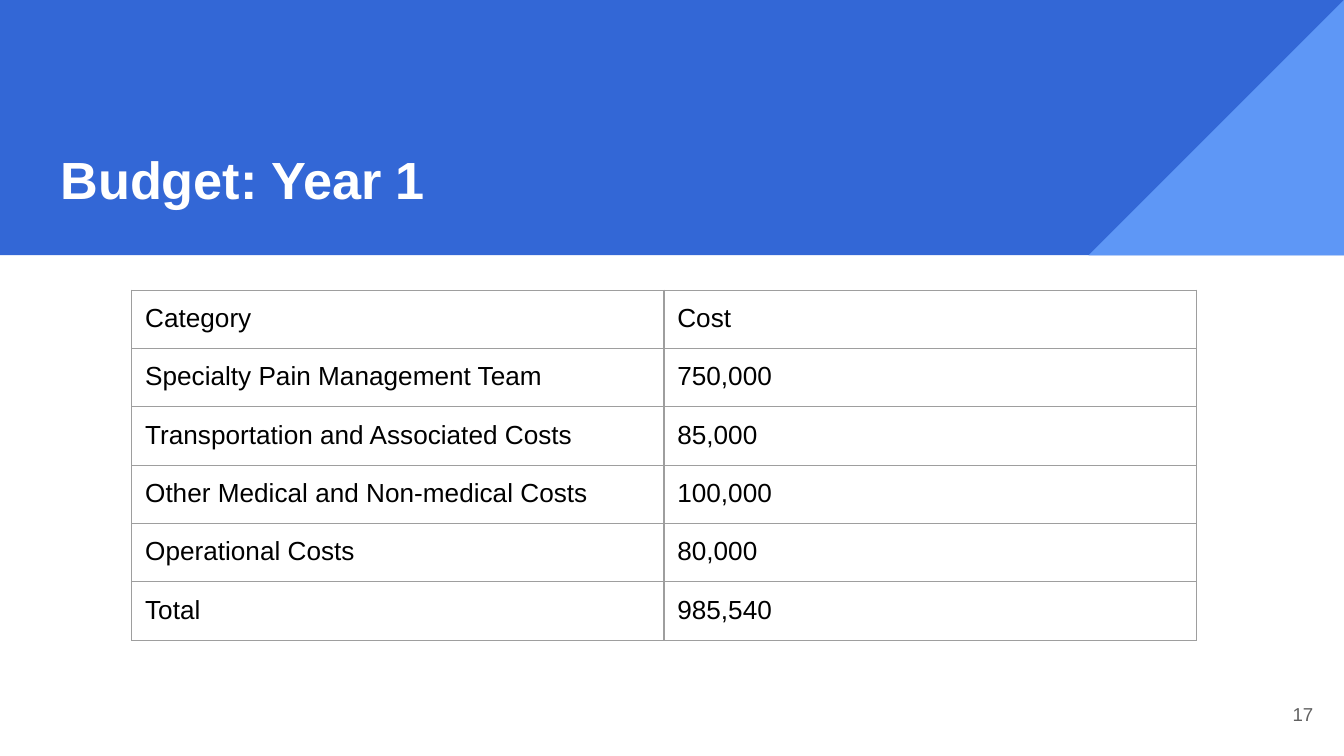
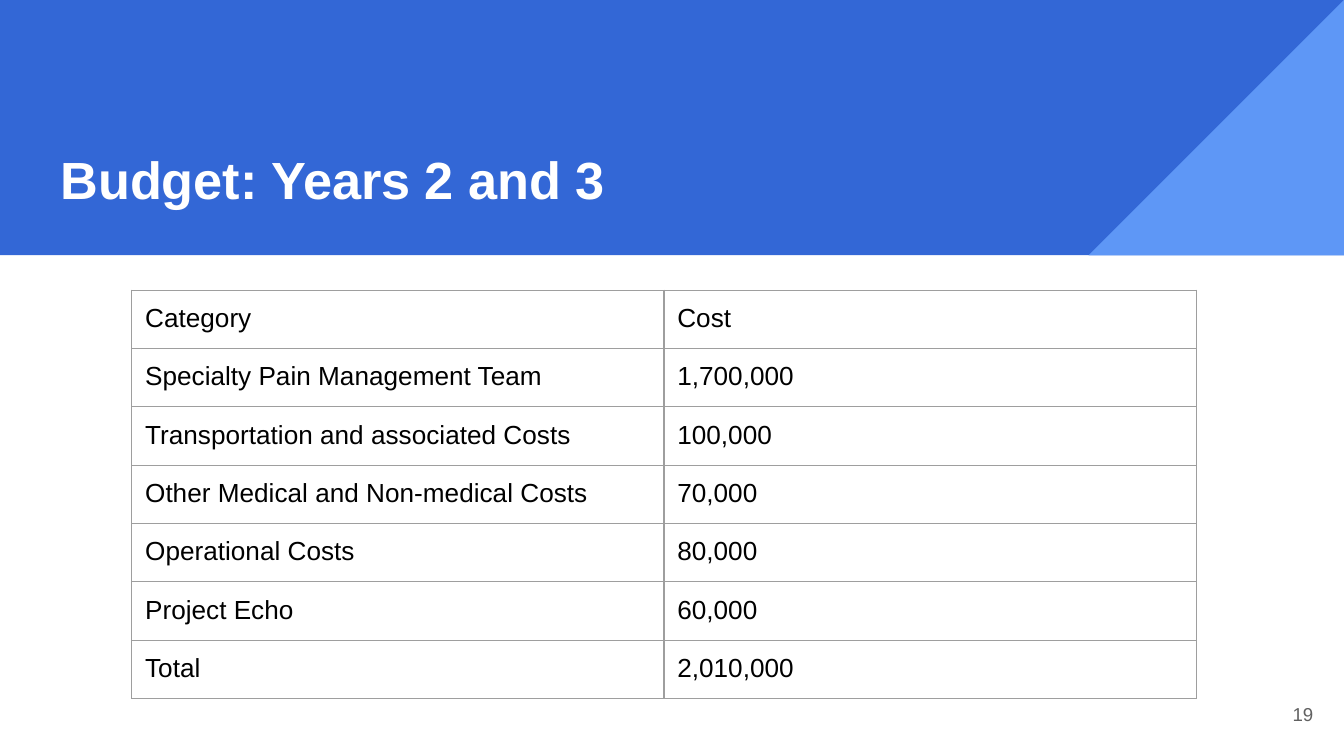
from dataclasses import dataclass

from lxml import etree
from pptx import Presentation
from pptx.dml.color import RGBColor
from pptx.enum.shapes import MSO_SHAPE
from pptx.enum.text import MSO_ANCHOR, MSO_AUTO_SIZE, PP_ALIGN
from pptx.oxml.ns import qn
from pptx.util import Inches, Pt

RECTANGLE = MSO_SHAPE.RECTANGLE
RIGHT_TRIANGLE = MSO_SHAPE.RIGHT_TRIANGLE
TOP, MIDDLE, BOTTOM = MSO_ANCHOR.TOP, MSO_ANCHOR.MIDDLE, MSO_ANCHOR.BOTTOM
LEFT, RIGHT = PP_ALIGN.LEFT, PP_ALIGN.RIGHT
NO_AUTOFIT = MSO_AUTO_SIZE.NONE
TITLE_ONLY = 5
PLAIN_TABLE_STYLE = "{2D5ABB26-0587-4C30-8999-92F81FD0307C}"


@dataclass(frozen=True)
class Theme:
    font: str = "Arial"
    band: str = "3367D6"
    corner: str = "5E97F6"
    title: str = "FFFFFF"
    text: str = "000000"
    number: str = "616161"
    border: str = "9E9E9E"
    title_size: float = 28
    text_size: float = 14
    number_size: float = 10
    border_width: float = 0.75
    inset: float = 0.1


THEME = Theme()
SLIDE_WIDTH = 10
SLIDE_HEIGHT = SLIDE_WIDTH * 9 / 16
BAND_BOX = (0, 0, SLIDE_WIDTH, 1.9)
TITLE_BOX = (0.35, 0.16, 5.74, 1.5)
NUMBER_BOX = (9.27, 5.1, 0.6, 0.43)
TABLE_LEFT, TABLE_TOP, TABLE_WIDTH = 0.98, 2.16, 7.92
ROW_HEIGHT = 0.41

HEADER = ("Category", "Cost")
BUDGETS = [
    ("Budget: Year 1", 17, [
        ("Specialty Pain Management Team", "750,000"),
        ("Transportation and Associated Costs", "85,000"),
        ("Other Medical and Non-medical Costs", "100,000"),
        ("Operational Costs", "80,000"),
        ("Total", "985,540"),
    ]),
    ("Budget: Years 2 and 3", 19, [
        ("Specialty Pain Management Team", "1,700,000"),
        ("Transportation and associated Costs", "100,000"),
        ("Other Medical and Non-medical Costs", "70,000"),
        ("Operational Costs", "80,000"),
        ("Project Echo", "60,000"),
        ("Total", "2,010,000"),
    ]),
]


def write_text(holder, text, *, size, color, bold=False, align=LEFT, anchor=TOP):
    """Write one formatted paragraph into a shape or a table cell."""
    frame = holder.text_frame
    frame.text = text
    # Cells keep their anchor and margins themselves; shapes keep them in the frame.
    box = holder if hasattr(holder, "margin_left") else frame
    box.vertical_anchor = anchor
    box.margin_left = box.margin_right = Inches(THEME.inset)
    box.margin_top = box.margin_bottom = Inches(THEME.inset)
    paragraph = frame.paragraphs[0]
    paragraph.alignment = align
    paragraph.line_spacing = 1.0
    paragraph.space_before = paragraph.space_after = Pt(0)
    font = paragraph.runs[0].font
    font.name, font.size, font.bold = THEME.font, Pt(size), bold
    font.color.rgb = RGBColor.from_string(color)


def add_filled_shape(slide, kind, box, color):
    shape = slide.shapes.add_shape(kind, *map(Inches, box))
    shape.shadow.inherit = False
    shape.fill.solid()
    shape.fill.fore_color.rgb = RGBColor.from_string(color)
    shape.line.fill.background()
    return shape


def add_band(slide, box):
    """Draw the band and its corner triangle behind everything else."""
    left, top, width, height = box
    band = add_filled_shape(slide, RECTANGLE, box, THEME.band)
    corner_box = (left + width - height, top, height, height)
    corner = add_filled_shape(slide, RIGHT_TRIANGLE, corner_box, THEME.corner)
    corner.rotation = 270
    title = slide.shapes.title.element
    for shape in (band, corner):
        title.addprevious(shape.element)


def place_title(slide, box, text):
    title = slide.shapes.title
    title.left, title.top, title.width, title.height = map(Inches, box)
    write_text(title, text, size=THEME.title_size, color=THEME.title,
               bold=True, anchor=BOTTOM)
    title.text_frame.word_wrap = True
    title.text_frame.auto_size = NO_AUTOFIT


def add_page_number(slide, box, number):
    text_box = slide.shapes.add_textbox(*map(Inches, box))
    text_box.text_frame.word_wrap = True
    write_text(text_box, str(number), size=THEME.number_size,
               color=THEME.number, align=RIGHT, anchor=MIDDLE)


def set_borders(cell):
    properties = cell._tc.get_or_add_tcPr()
    for side in ("lnL", "lnR", "lnT", "lnB"):
        line = etree.SubElement(properties, qn(f"a:{side}"),
                                w=str(Pt(THEME.border_width)))
        fill = etree.SubElement(line, qn("a:solidFill"))
        etree.SubElement(fill, qn("a:srgbClr"), val=THEME.border)


def add_budget_table(slide, box, rows):
    frame = slide.shapes.add_table(len(rows), len(HEADER), *map(Inches, box))
    table = frame.table
    table.first_row = table.horz_banding = False
    table._tbl.tblPr.find(qn("a:tableStyleId")).text = PLAIN_TABLE_STYLE
    for row, values in zip(table.rows, rows):
        for cell, value in zip(row.cells, values):
            write_text(cell, value, size=THEME.text_size, color=THEME.text)
            set_borders(cell)
            cell.fill.background()


def add_budget_slide(presentation, title, number, costs):
    slide = presentation.slides.add_slide(presentation.slide_layouts[TITLE_ONLY])
    rows = [HEADER, *costs]
    table_box = (TABLE_LEFT, TABLE_TOP, TABLE_WIDTH, ROW_HEIGHT * len(rows))
    add_band(slide, BAND_BOX)
    place_title(slide, TITLE_BOX, title)
    add_page_number(slide, NUMBER_BOX, number)
    add_budget_table(slide, table_box, rows)


def main():
    presentation = Presentation()
    presentation.slide_width = Inches(SLIDE_WIDTH)
    presentation.slide_height = Inches(SLIDE_HEIGHT)
    for title, number, costs in BUDGETS:
        add_budget_slide(presentation, title, number, costs)
    presentation.save("out.pptx")


if __name__ == "__main__":
    main()
